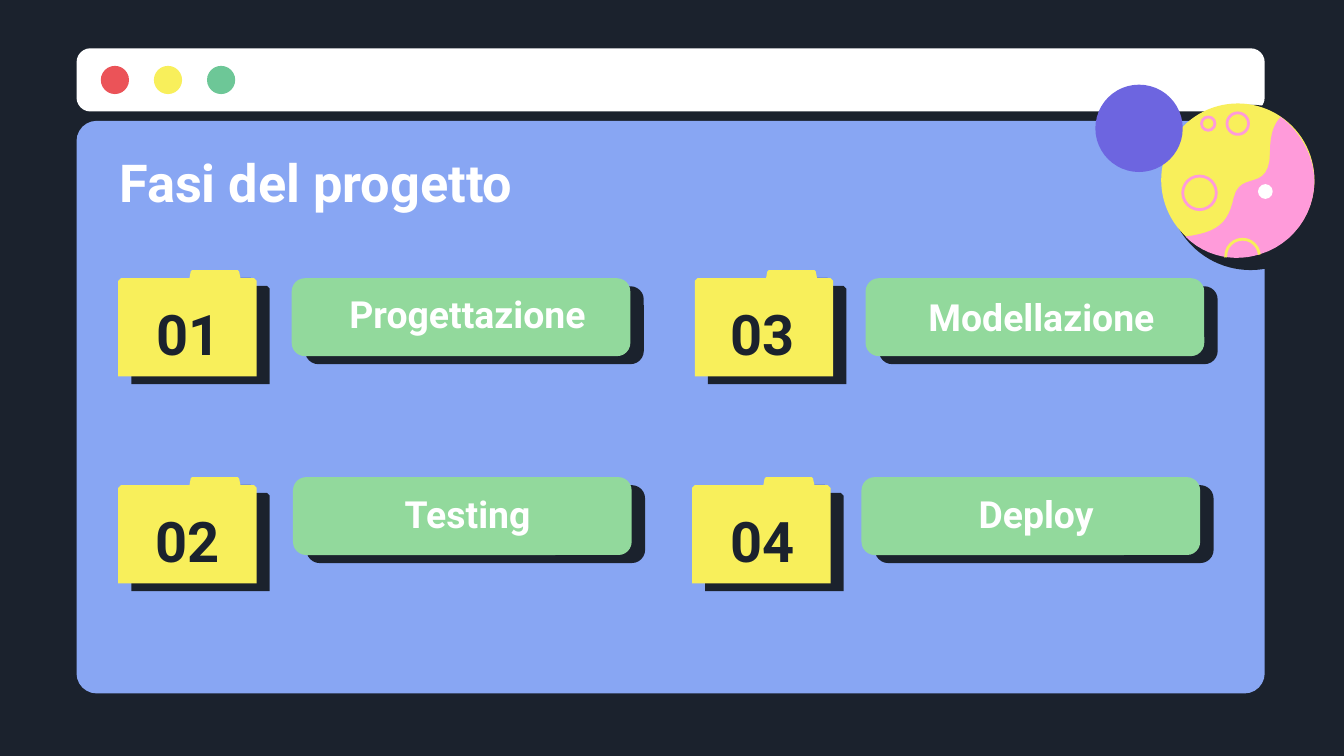
from dataclasses import dataclass
from typing import Any

from lxml import etree
from pptx import Presentation
from pptx import util as u
from pptx.dml.color import RGBColor
from pptx.enum import shapes, text
from pptx.oxml.ns import qn

NAVY = RGBColor(0x1B, 0x22, 0x2D)
WHITE = RGBColor(0xFF, 0xFF, 0xFF)
BLUE = RGBColor(0x88, 0xA6, 0xF3)
RED = RGBColor(0xEB, 0x53, 0x58)
YELLOW = RGBColor(0xF8, 0xEF, 0x5B)
GREEN = RGBColor(0x6D, 0xC7, 0x97)
MINT = RGBColor(0x92, 0xD9, 0x9C)
PINK = RGBColor(0xFF, 0x9B, 0xDA)
PURPLE = RGBColor(0x6D, 0x65, 0xE0)

SLIDE_WIDTH = u.Inches(10)
SLIDE_HEIGHT = SLIDE_WIDTH * 9 // 16
SHADOW_X, SHADOW_Y = 0.10, 0.06
FOLDER_OUTLINE = [
    (1.03, 0.08), (1.03, 0.79), (0, 0.79), (0, 0.08), (0.01, 0.07), (0.02, 0.06),
    (0.53, 0.06), (0.54, 0.01), (0.55, 0), (0.89, 0), (0.9, 0.01),
    (0.91, 0.06), (1.01, 0.06), (1.02, 0.07),
]
PLANET_START = (9.53, 0.87)
PLANET_CURVES = [
    [(9.65, 0.96), (9.78, 1.14), (9.78, 1.35)],
    [(9.78, 1.6), (9.61, 1.82), (9.38, 1.89)],
    [(9.2, 1.95), (8.98, 1.92), (8.82, 1.76)],
    [(9.06, 1.73), (9.14, 1.66), (9.18, 1.47)],
    [(9.23, 1.26), (9.45, 1.44), (9.45, 1.13)],
    [(9.45, 0.98), (9.49, 0.91), (9.53, 0.87)],
]
PHASES = [
    ("01", "Progettazione", (0.88, 2.01), (2.17, 2.07), (2.36, 2.16, 2.24), 0.97),
    ("02", "Testing", (0.88, 3.55), (2.18, 3.55), (2.45, 3.65, 2.06), 0.96),
    ("03", "Modellazione", (5.17, 2.01), (6.44, 2.07), (6.67, 2.18, 2.16), 5.24),
    ("04", "Deploy", (5.15, 3.55), (6.41, 3.55), (6.68, 3.65, 2.06), 5.24),
]


def trace_curves(start, curves, steps=12):
    points = [start]
    for first, second, end in curves:
        origin = points[-1]
        for step in range(1, steps + 1):
            t = step / steps
            weights = ((1 - t) ** 3, 3 * t * (1 - t) ** 2, 3 * t * t * (1 - t), t ** 3)
            anchors = (origin, first, second, end)
            points.append(tuple(
                sum(weight * anchor[axis] for weight, anchor in zip(weights, anchors))
                for axis in (0, 1)
            ))
    return points


@dataclass
class SlideBuilder:
    slide: Any
    font: str = "Roboto"

    def paint(self, shape, color):
        shape.shadow.inherit = False
        shape.fill.solid()
        shape.fill.fore_color.rgb = color
        shape.line.fill.background()
        return shape

    def stroke(self, shape, color):
        shape.shadow.inherit = False
        shape.fill.background()
        shape.line.color.rgb = color
        shape.line.width = u.Pt(1.5)

    def preset(self, kind, left, top, width, height):
        return self.slide.shapes.add_shape(
            kind, u.Inches(left), u.Inches(top), u.Inches(width), u.Inches(height))

    def panel(self, left, top, width, height, color, radius):
        panel = self.preset(shapes.MSO_SHAPE.ROUNDED_RECTANGLE, left, top, width, height)
        panel.adjustments[0] = radius
        self.paint(panel, color)

    def disc(self, left, top, size, color):
        self.paint(self.preset(shapes.MSO_SHAPE.OVAL, left, top, size, size), color)

    def ring(self, left, top, size, color):
        self.stroke(self.preset(shapes.MSO_SHAPE.OVAL, left, top, size, size), color)

    def arc(self, left, top, size, color, start, end):
        arc = self.preset(shapes.MSO_SHAPE.ARC, left, top, size, size)
        arc.adjustments[0] = start * 0.6
        arc.adjustments[1] = end * 0.6
        self.stroke(arc, color)

    def outline(self, points, color):
        corners = [(u.Inches(x), u.Inches(y)) for x, y in points]
        builder = self.slide.shapes.build_freeform(*corners[0])
        builder.add_line_segments(corners[1:], close=True)
        return self.paint(builder.convert_to_shape(), color)

    def folder(self, left, top):
        folder = self.outline([(left + x, top + y) for x, y in FOLDER_OUTLINE], YELLOW)
        effects = folder.element.spPr.find(qn("a:effectLst"))
        shadow = etree.SubElement(
            effects, qn("a:outerShdw"), blurRad="0", dist=str(u.Pt(8.2)),
            dir=str(31 * 60000), algn="bl", rotWithShape="0")
        etree.SubElement(shadow, qn("a:srgbClr"), val=str(NAVY))

    def label(self, words, left, top, width, height, size, color,
              align=text.PP_ALIGN.CENTER, anchor=text.MSO_ANCHOR.MIDDLE):
        box = self.slide.shapes.add_textbox(
            u.Inches(left), u.Inches(top), u.Inches(width), u.Inches(height))
        frame = box.text_frame
        frame.word_wrap = True
        frame.vertical_anchor = anchor
        frame.margin_left = frame.margin_right = u.Inches(0.1)
        frame.margin_top = frame.margin_bottom = u.Inches(0.1)
        para = frame.paragraphs[0]
        para.alignment = align
        span = para.add_run()
        span.text = words
        span.font.name = self.font
        span.font.size = u.Pt(size)
        span.font.bold = True
        span.font.color.rgb = color


def draw_window(page):
    page.panel(0.57, 0.36, 8.84, 0.47, WHITE, 0.22)
    for index, color in enumerate((RED, YELLOW, GREEN)):
        page.disc(0.75 + index * 0.395, 0.49, 0.21, color)
    page.panel(0.57, 0.9, 8.84, 4.26, BLUE, 0.035)


def draw_planet(page):
    page.disc(8.69, 0.78, 1.23, NAVY)
    page.disc(8.64, 0.77, 1.14, YELLOW)
    for left, top, size in ((9.13, 0.84, 0.16), (8.8, 1.31, 0.25), (8.94, 0.87, 0.1)):
        page.ring(left, top, size, PINK)
    page.outline(trace_curves(PLANET_START, PLANET_CURVES), PINK)
    page.arc(9.12, 1.78, 0.25, YELLOW, 175, 355)
    page.disc(9.36, 1.37, 0.11, WHITE)
    page.disc(8.15, 0.63, 0.65, PURPLE)


def draw_phase(page, number, name, folder, button, name_place, number_left):
    left, top = button
    page.panel(left + SHADOW_X, top + SHADOW_Y, 2.52, 0.58, NAVY, 0.17)
    page.panel(left, top, 2.52, 0.58, MINT, 0.17)
    page.folder(*folder)
    page.label(name, *name_place, 0.44, 20, WHITE, anchor=text.MSO_ANCHOR.BOTTOM)
    page.label(number, number_left, folder[1] + 0.14, 0.87, 0.65, 30, NAVY)


def main():
    deck = Presentation()
    deck.slide_width = SLIDE_WIDTH
    deck.slide_height = SLIDE_HEIGHT
    page = SlideBuilder(deck.slides.add_slide(deck.slide_layouts[6]))
    background = page.slide.background.fill
    background.solid()
    background.fore_color.rgb = NAVY
    draw_window(page)
    draw_planet(page)
    for phase in PHASES:
        draw_phase(page, *phase)
    page.label("Fasi del progetto", 0.79, 1.02, 8.43, 0.62, 28, WHITE,
               text.PP_ALIGN.LEFT, text.MSO_ANCHOR.TOP)
    deck.save("out.pptx")


if __name__ == "__main__":
    main()
